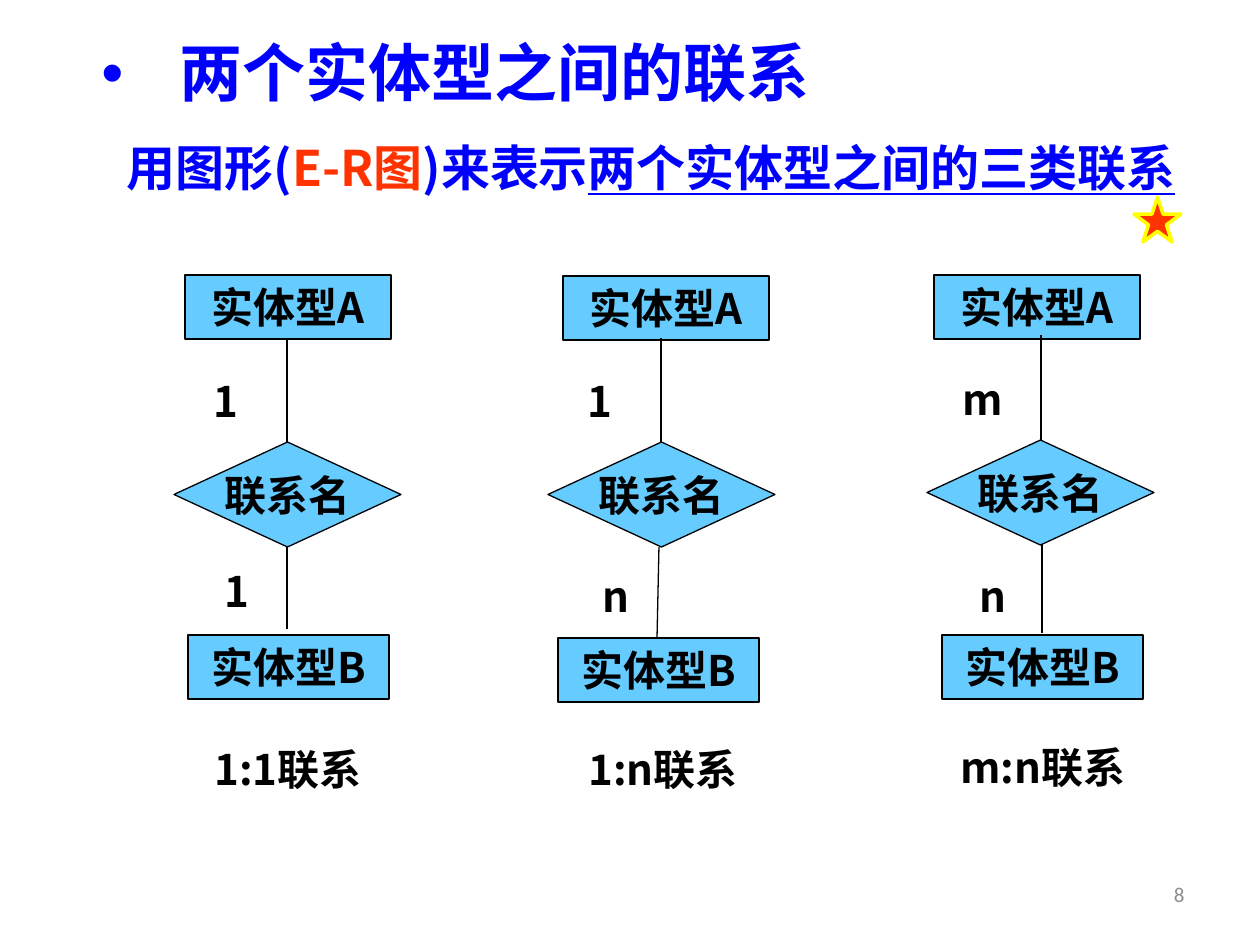
from dataclasses import dataclass

from lxml import etree
from pptx import Presentation
from pptx.dml.color import RGBColor
from pptx.enum.shapes import MSO_CONNECTOR, MSO_SHAPE
from pptx.enum.text import MSO_ANCHOR, PP_ALIGN
from pptx.oxml.ns import qn
from pptx.util import Emu, Pt

RECTANGLE, DIAMOND, STAR = MSO_SHAPE.RECTANGLE, MSO_SHAPE.DIAMOND, MSO_SHAPE.STAR_5_POINT
STRAIGHT = MSO_CONNECTOR.STRAIGHT
MIDDLE = MSO_ANCHOR.MIDDLE
LEFT, CENTER, RIGHT = PP_ALIGN.LEFT, PP_ALIGN.CENTER, PP_ALIGN.RIGHT

PX = 914400 // 126  # EMU per pixel
Point = tuple[int, int]
Size = tuple[int, int]


@dataclass(frozen=True)
class Theme:
    font: str = "Noto Sans CJK SC"
    number_font: str = "Calibri"
    blue: str = "0000FF"
    red: str = "FF3300"
    yellow: str = "FFFF00"
    sky: str = "66CCFF"
    black: str = "000000"
    gray: str = "8C8C8C"
    title: int = 36
    subtitle: int = 28
    body: int = 24
    number: int = 12
    thin: float = 0.75
    thick: float = 2


@dataclass(frozen=True)
class Relation:
    """One E-R diagram: positions are top-left corners, lines are end points."""
    entity_a: Point
    diamond: Point
    entity_b: Point
    upper_line: tuple[Point, Point]
    lower_line: tuple[Point, Point]
    upper_label: Point
    lower_label: Point
    caption: Point
    a_count: str
    b_count: str


THEME = Theme()
ENTITY_A: Size = (206, 64)
ENTITY_B: Size = (201, 64)
RELATION: Size = (227, 105)
COUNT: Size = (57, 63)
CAPTION: Size = (204, 63)

RELATIONS = [
    Relation((185, 275), (174, 442), (188, 635), ((287, 442), (287, 338)),
             ((287, 547), (287, 629)), (197, 369), (208, 559), (186, 737), "1", "1"),
    Relation((563, 276), (548, 442), (558, 638), ((661, 442), (661, 338)),
             ((659, 547), (657, 639)), (571, 369), (587, 564), (561, 737), "1", "n"),
    Relation((934, 275), (927, 440), (942, 635), ((1041, 440), (1041, 335)),
             ((1042, 544), (1042, 633)), (950, 367), (964, 564), (941, 735), "m", "n"),
]

prs = Presentation()
prs.slide_width, prs.slide_height = Emu(1260 * PX), Emu(945 * PX)
slide = prs.slides.add_slide(prs.slide_layouts[6])
shapes = slide.shapes


def box(at: Point, size: Size) -> list[Emu]:
    return [Emu(v * PX) for v in (*at, *size)]


def set_indent(paragraph, pixels: int, bullet: str = "") -> None:
    props = paragraph._p.get_or_add_pPr()
    props.set("marL", str(pixels * PX))
    props.set("indent", str(-pixels * PX))
    if bullet:
        etree.SubElement(props, qn("a:buFont")).set("typeface", "Arial")
        etree.SubElement(props, qn("a:buChar")).set("char", bullet)


def style(paragraph, size: int, color: str, bold: bool = True,
          align: PP_ALIGN = CENTER, name: str = THEME.font) -> None:
    paragraph.alignment = align
    font = paragraph.font
    font.size, font.bold, font.name = Pt(size), bold, name
    font.color.rgb = RGBColor.from_string(color)
    etree.SubElement(font._element, qn("a:ea")).set("typeface", name)


def add_text(at: Point, size: Size, text: str = "", wrap: bool = True):
    frame = shapes.add_textbox(*box(at, size)).text_frame
    frame.word_wrap = wrap
    frame.vertical_anchor = MIDDLE
    paragraph = frame.paragraphs[0]
    if text:
        paragraph.add_run().text = text
    return paragraph


def add_label(at: Point, size: Size, text: str) -> None:
    style(add_text(at, size, text), THEME.body, THEME.black)


def add_figure(kind: MSO_SHAPE, at: Point, size: Size, fill: str, line: str, width: float):
    figure = shapes.add_shape(kind, *box(at, size))
    figure.shadow.inherit = False
    figure.fill.solid()
    figure.fill.fore_color.rgb = RGBColor.from_string(fill)
    figure.line.color.rgb = RGBColor.from_string(line)
    figure.line.width = Pt(width)
    return figure


def add_node(kind: MSO_SHAPE, at: Point, size: Size, text: str) -> None:
    frame = add_figure(kind, at, size, THEME.sky, THEME.black, THEME.thin).text_frame
    frame.word_wrap = kind != DIAMOND
    frame.vertical_anchor = MIDDLE
    paragraph = frame.paragraphs[0]
    paragraph.add_run().text = text
    style(paragraph, THEME.body, THEME.black)


def add_line(start: Point, end: Point) -> None:
    line = shapes.add_connector(STRAIGHT, *box(start, end))
    line.line.color.rgb = RGBColor.from_string(THEME.black)
    line.line.width = Pt(THEME.thin)
    etree.SubElement(line._element.spPr, qn("a:effectLst"))


def add_relation(relation: Relation) -> None:
    add_node(RECTANGLE, relation.entity_a, ENTITY_A, "实体型A")
    add_node(DIAMOND, relation.diamond, RELATION, "联系名")
    add_node(RECTANGLE, relation.entity_b, ENTITY_B, "实体型B")
    add_line(*relation.upper_line)
    add_line(*relation.lower_line)
    add_label(relation.upper_label, COUNT, relation.a_count)
    add_label(relation.lower_label, COUNT, relation.b_count)
    add_label(relation.caption, CAPTION, f"{relation.a_count}:{relation.b_count}联系")


# Slide number
number = add_text((903, 861), (294, 66), "8")
style(number, THEME.number, THEME.gray, False, RIGHT, THEME.number_font)

# Title
title = add_text((89, 21), (1018, 110), "两个实体型之间的联系")
set_indent(title, 78, "•")
style(title, THEME.title, THEME.blue, align=LEFT)
title.line_spacing = 0.9

# Three kinds of relation
for relation in RELATIONS:
    add_relation(relation)

# Subtitle with a red term and an underlined phrase
subtitle = add_text((71, 131), (1160, 72))
set_indent(subtitle, 48)
style(subtitle, THEME.subtitle, THEME.blue)
for words in ("用图形(".replace("(", "("), "E-R图", ")来表示", "两个实体型之间的三类联系"):
    run = subtitle.add_run()
    run.text = words
    if words == "E-R图":
        run.font.color.rgb = RGBColor.from_string(THEME.red)
    elif words.startswith("两个"):
        run.font.underline = True

# Star marking the key point
add_figure(STAR, (1134, 197), (47, 45), THEME.red, THEME.yellow, THEME.thick)

prs.save("out.pptx")
